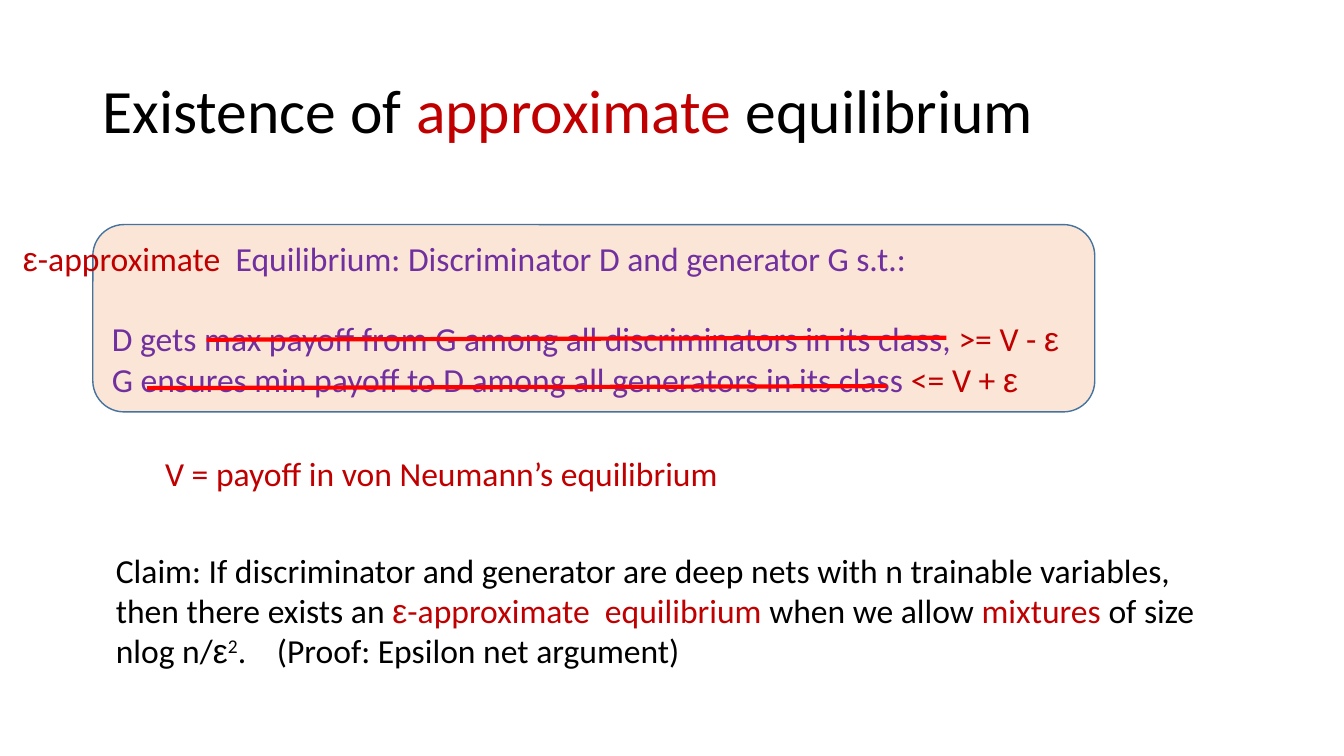
from dataclasses import dataclass

from lxml.etree import SubElement
from pptx import Presentation
from pptx.dml.color import RGBColor
from pptx.enum.shapes import MSO_CONNECTOR, MSO_SHAPE
from pptx.enum.text import MSO_ANCHOR, MSO_AUTO_SIZE, PP_ALIGN
from pptx.oxml.ns import qn
from pptx.shapes.autoshape import Shape
from pptx.slide import Slide
from pptx.text.text import TextFrame
from pptx.util import Cm, Pt

COLORS = {
    "black": "000000",
    "accent": "C00000",
    "purple": "7030A0",
    "panel": "FBE5D6",
    "outline": "43739E",
    "strike": "FF0000",
}


@dataclass
class Piece:
    text: str
    color: str = ""
    font: str = ""
    superscript: bool = False
    break_after: bool = False


@dataclass
class Line:
    pieces: list[Piece]
    color: str = "black"
    size: float = 24
    spacing: float = 1.0
    indent: float = 0
    space_after: float = 0
    tab: float = 0


@dataclass
class TextBox:
    left: float
    top: float
    width: float
    height: float
    lines: list[Line]
    grows: bool = True


@dataclass
class Strike:
    left: float
    top: float


def epsilon(color: str = "") -> Piece:
    return Piece("ε", color, "Arial")


def rgb(name: str) -> RGBColor:
    return RGBColor.from_string(COLORS[name])


def write_lines(frame: TextFrame, lines: list[Line]) -> None:
    for index, line in enumerate(lines):
        paragraph = frame.add_paragraph() if index else frame.paragraphs[0]
        paragraph.alignment = PP_ALIGN.LEFT
        paragraph.line_spacing = line.spacing
        paragraph.space_after = Pt(line.space_after)
        properties = paragraph._p.get_or_add_pPr()
        if line.indent:
            properties.set("marL", str(Cm(line.indent)))
        if line.tab:
            tabs = SubElement(properties, qn("a:tabLst"))
            SubElement(tabs, qn("a:tab"), pos=str(Cm(line.tab)), algn="l")
        paragraph.font.size = Pt(line.size)
        paragraph.font.name = "Calibri"
        paragraph.font.color.rgb = rgb(line.color)
        for piece in line.pieces:
            run = paragraph.add_run()
            run.text = piece.text
            # Shape styles outrank paragraph colours, so each run names its own.
            run.font.color.rgb = rgb(piece.color or line.color)
            if piece.font:
                run.font.name = piece.font
            if piece.superscript:
                run._r.get_or_add_rPr().set("baseline", "30000")
            if piece.break_after:
                paragraph.add_line_break()


def add_text(slide: Slide, box: TextBox) -> None:
    shape = slide.shapes.add_textbox(
        Cm(box.left), Cm(box.top), Cm(box.width), Cm(box.height))
    frame = shape.text_frame
    frame.word_wrap = not box.grows
    if box.grows:
        frame.auto_size = MSO_AUTO_SIZE.SHAPE_TO_FIT_TEXT
    else:
        frame.vertical_anchor = MSO_ANCHOR.MIDDLE
    write_lines(frame, box.lines)


def add_panel(slide: Slide, lines: list[Line]) -> Shape:
    panel = slide.shapes.add_shape(
        MSO_SHAPE.ROUNDED_RECTANGLE, Cm(2.34), Cm(5.66), Cm(25.25), Cm(4.72))
    panel.shadow.inherit = False
    panel.fill.solid()
    panel.fill.fore_color.rgb = rgb("panel")
    panel.line.color.rgb = rgb("outline")
    panel.line.width = Pt(1)
    panel.text_frame.word_wrap = True
    panel.text_frame.vertical_anchor = MSO_ANCHOR.MIDDLE
    write_lines(panel.text_frame, lines)
    return panel


def add_strike(slide: Slide, strike: Strike) -> None:
    """Cross out a phrase with a line that rises slightly to the right."""
    connector = slide.shapes.add_connector(
        MSO_CONNECTOR.STRAIGHT, Cm(strike.left), Cm(strike.top),
        Cm(strike.left + 18.64), Cm(strike.top - 0.05))
    connector.line.color.rgb = rgb("strike")
    connector.line.width = Pt(3)
    SubElement(connector._element.spPr, qn("a:effectLst"))


TITLE = TextBox(2.34, 1.02, 29.21, 3.68, [
    Line([Piece("Existence of "), Piece("approximate", "accent"),
          Piece(" equilibrium")], size=44, spacing=0.9),
], grows=False)

CONDITIONS = [
    Line([Piece("Equilibrium: Discriminator D and generator G s.t.:")],
         "purple", indent=3.12, space_after=29),
    Line([Piece("D gets max payoff from G among all discriminators in its class, "),
          Piece(">= V - ", "accent"), epsilon("accent")], "purple"),
    Line([Piece("G ensures min payoff to D among all generators in its class "),
          Piece("<= V + ", "accent"), epsilon("accent")], "purple"),
]

STRIKES = [Strike(5.21, 8.56), Strike(3.71, 9.78)]

NOTES = [
    TextBox(0.33, 5.87, 5.59, 1.27,
            [Line([epsilon(), Piece("-approximate")], "accent")]),
    TextBox(3.91, 11.28, 14.61, 1.27,
            [Line([Piece("V = payoff in von Neumann’s equilibrium")], "accent")]),
    TextBox(2.67, 13.72, 28.12, 3.35, [
        Line([Piece("Claim: If discriminator and generator are deep nets "
                    "with n trainable variables,")]),
        Line([Piece("then there exists an "), epsilon("accent"),
              Piece("-approximate  equilibrium ", "accent"),
              Piece("when we allow "), Piece("mixtures", "accent"),
              Piece(" of size", break_after=True),
              Piece("nlog n/"), epsilon(), Piece("2", superscript=True),
              Piece(".\t(Proof: Epsilon net argument)")], tab=4.06),
    ]),
]


def main() -> None:
    presentation = Presentation()
    presentation.slide_width = Cm(33.87)
    presentation.slide_height = Cm(19.05)
    slide = presentation.slides.add_slide(presentation.slide_layouts[6])
    add_text(slide, TITLE)
    add_panel(slide, CONDITIONS)
    for strike in STRIKES:
        add_strike(slide, strike)
    for note in NOTES:
        add_text(slide, note)
    presentation.save("out.pptx")


if __name__ == "__main__":
    main()
